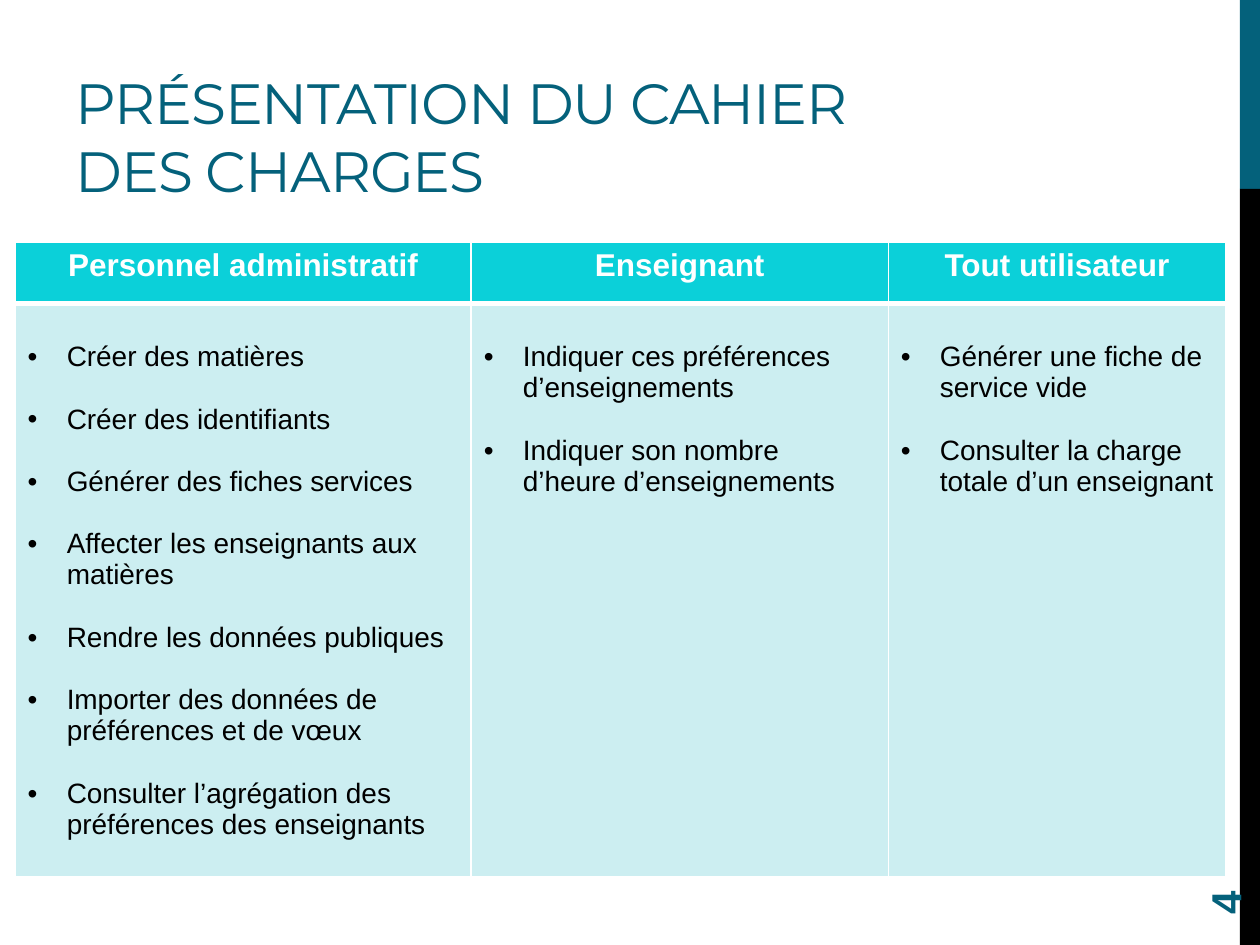
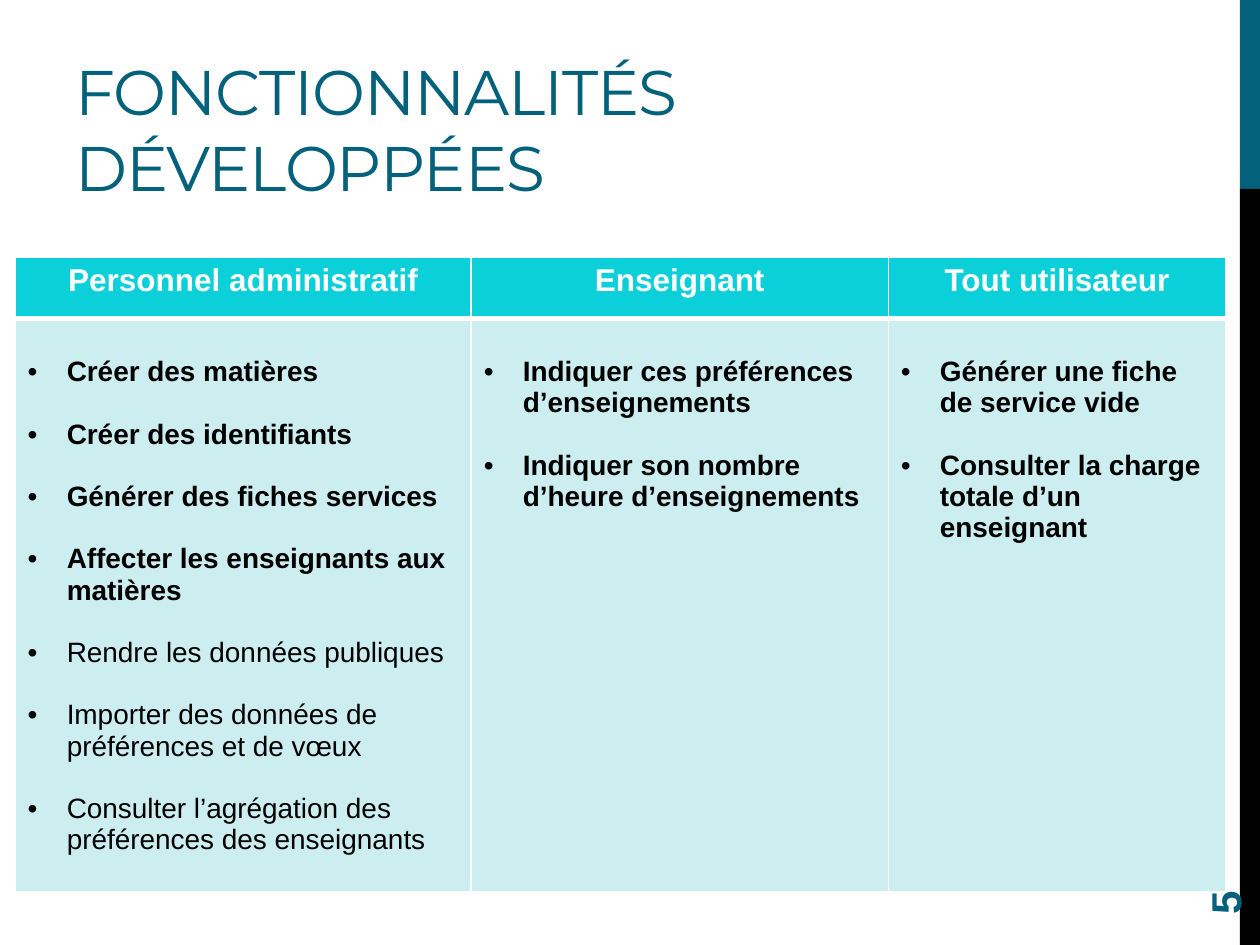
"""Build the two slides that compare planned and developed features by user role."""
from dataclasses import dataclass

from lxml import etree
from pptx import Presentation
from pptx.dml.color import RGBColor
from pptx.enum.shapes import MSO_SHAPE
from pptx.enum.text import MSO_ANCHOR, PP_ALIGN
from pptx.oxml.ns import qn
from pptx.slide import Slide
from pptx.table import _Cell
from pptx.text.text import _Paragraph, _Run
from pptx.util import Inches, Pt

RECTANGLE = MSO_SHAPE.RECTANGLE
BOTTOM, MIDDLE = MSO_ANCHOR.BOTTOM, MSO_ANCHOR.MIDDLE
CENTER = PP_ALIGN.CENTER
BLANK_LAYOUT = 6


@dataclass(frozen=True)
class Theme:
    """Colours, fonts and type sizes shared by the slides."""
    accent: str = "04617B"
    black: str = "000000"
    white: str = "FFFFFF"
    header: str = "0BD0D9"
    body: str = "CCEEF1"
    title_font: str = "Montserrat"
    text_font: str = "Arial"
    header_size: float = 18
    item_size: float = 16
    item_gap: float = 17.9
    number_size: float = 24
    thin: float = 1
    thick: float = 3


@dataclass(frozen=True)
class Band:
    """One coloured part of the right-hand edge."""
    top: float
    height: float
    color: str


@dataclass(frozen=True)
class Role:
    """A table column: a kind of user and the features offered."""
    name: str
    width: float
    features: tuple[str, ...]
    developed: int


@dataclass(frozen=True)
class FeaturePage:
    """What differs from one slide to the next."""
    title: str
    title_size: float
    table_top: float
    number: int
    mark_developed: bool


THEME = Theme()
BANDS = (Band(0, 1.5, THEME.accent), Band(1.5, 6, THEME.black))
ROLES = (
    Role("Personnel administratif", 3.62, (
        "Créer des matières",
        "Créer des identifiants",
        "Générer des fiches services",
        "Affecter les enseignants aux matières",
        "Rendre les données publiques",
        "Importer des données de préférences et de vœux",
        "Consulter l’agrégation des préférences des enseignants",
    ), 4),
    Role("Enseignant", 3.31, (
        "Indiquer ces préférences d’enseignements",
        "Indiquer son nombre d’heure d’enseignements",
    ), 2),
    Role("Tout utilisateur", 2.68, (
        "Générer une fiche de service vide",
        "Consulter la charge totale d’un enseignant",
    ), 2),
)
PAGES = (
    FeaturePage("PRÉSENTATION DU CAHIER DES CHARGES", 32.4, 1.92, 4, False),
    FeaturePage("FONCTIONNALITÉS DÉVELOPPÉES", 36, 2.04, 5, True),
)
ROW_HEIGHTS = (0.49, 4.55)
INDENT = 0.31


def style_run(span: _Run, font: str, size: float, color: str, bold: bool = False) -> None:
    """Set the typeface, size, colour and weight of a run."""
    span.font.name = font
    span.font.size = Pt(size)
    span.font.bold = bold
    span.font.color.rgb = RGBColor.from_string(color)


def add_bands(page: Slide) -> None:
    """Draw the coloured edge on the right."""
    for band in BANDS:
        shape = page.shapes.add_shape(RECTANGLE, Inches(9.84), Inches(band.top),
                                      Inches(0.16), Inches(band.height))
        shape.shadow.inherit = False
        shape.fill.solid()
        shape.fill.fore_color.rgb = RGBColor.from_string(band.color)
        shape.line.fill.background()


def add_title(page: Slide, text: str, size: float) -> None:
    """Write the slide title, resting on the bottom of its box."""
    box = page.shapes.add_textbox(Inches(0.5), Inches(0.17), Inches(6.33), Inches(1.5))
    frame = box.text_frame
    frame.word_wrap = True
    frame.vertical_anchor = BOTTOM
    frame.text = text
    span = frame.paragraphs[0].runs[0]
    style_run(span, THEME.title_font, size, THEME.accent)
    span.font._element.set("spc", "-60")


def add_number(page: Slide, number: int) -> None:
    """Write the slide number, turned to read upwards."""
    box = page.shapes.add_textbox(Inches(9), Inches(6.44), Inches(1.44), Inches(0.4))
    box.rotation = 270
    frame = box.text_frame
    frame.word_wrap = True
    frame.vertical_anchor = MIDDLE
    frame.text = str(number)
    style_run(frame.paragraphs[0].runs[0], THEME.text_font, THEME.number_size,
              THEME.accent, True)


def style_cell(cell: _Cell, color: str, top: float, bottom: float) -> None:
    """Give a cell white borders and a plain fill."""
    properties = cell._tc.get_or_add_tcPr()
    widths = {"a:lnL": THEME.thin, "a:lnR": THEME.thin, "a:lnT": top, "a:lnB": bottom}
    for tag, width in widths.items():
        line = etree.SubElement(properties, qn(tag), w=str(Pt(width)))
        fill = etree.SubElement(line, qn("a:solidFill"))
        etree.SubElement(fill, qn("a:srgbClr"), val=THEME.white)
    cell.fill.solid()
    cell.fill.fore_color.rgb = RGBColor.from_string(color)


def add_bullet(para: _Paragraph) -> None:
    """Give a paragraph a round bullet with a hanging indent."""
    properties = para._p.get_or_add_pPr()
    properties.set("marL", str(Inches(INDENT)))
    properties.set("indent", str(-Inches(INDENT)))
    etree.SubElement(properties, qn("a:buFont"), typeface=THEME.text_font)
    etree.SubElement(properties, qn("a:buChar"), char="•")


def fill_header(cell: _Cell, role: Role) -> None:
    """Write the name of a role at the head of its column."""
    style_cell(cell, THEME.header, THEME.thin, THEME.thick)
    cell.text_frame.text = role.name
    para = cell.text_frame.paragraphs[0]
    para.alignment = CENTER
    style_run(para.runs[0], THEME.text_font, THEME.header_size, THEME.white, True)


def fill_features(cell: _Cell, role: Role, mark_developed: bool) -> None:
    """List the features of a role, with the developed ones in bold if asked."""
    style_cell(cell, THEME.body, THEME.thick, THEME.thin)
    cell.margin_top = Inches(0.3)
    cell.text_frame.text = "\n".join(role.features)
    for index, para in enumerate(cell.text_frame.paragraphs):
        if index:
            para.space_before = Pt(THEME.item_gap)
        add_bullet(para)
        style_run(para.runs[0], THEME.text_font, THEME.item_size, THEME.black,
                  mark_developed and index < role.developed)


def add_feature_table(page: Slide, top: float, mark_developed: bool) -> None:
    """Draw the table with one column of features for each role."""
    frame = page.shapes.add_table(len(ROW_HEIGHTS), len(ROLES), Inches(0.12), Inches(top),
                                  Inches(sum(role.width for role in ROLES)),
                                  Inches(sum(ROW_HEIGHTS)))
    table = frame.table
    for row, height in zip(table.rows, ROW_HEIGHTS):
        row.height = Inches(height)
    for column, role in enumerate(ROLES):
        table.columns[column].width = Inches(role.width)
        fill_header(table.cell(0, column), role)
        fill_features(table.cell(1, column), role, mark_developed)


def main() -> None:
    """Build and save the deck."""
    deck = Presentation()
    deck.slide_width, deck.slide_height = Inches(10), Inches(7.5)
    for content in PAGES:
        page = deck.slides.add_slide(deck.slide_layouts[BLANK_LAYOUT])
        add_bands(page)
        add_title(page, content.title, content.title_size)
        add_feature_table(page, content.table_top, content.mark_developed)
        add_number(page, content.number)
    deck.save("out.pptx")


if __name__ == "__main__":
    main()
